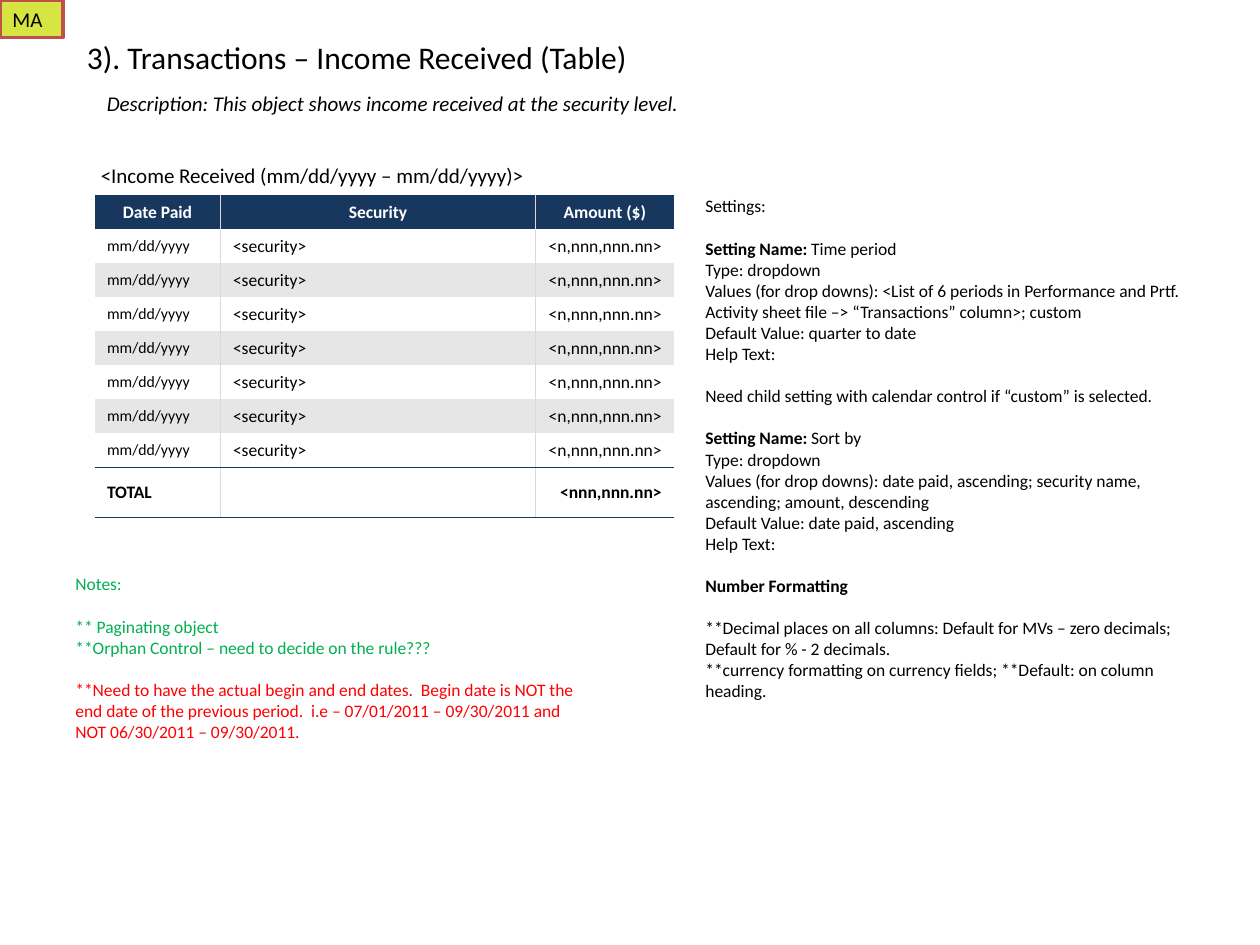
from dataclasses import dataclass

from lxml import etree
from pptx import Presentation, util as u
from pptx.dml.color import RGBColor
from pptx.enum import shapes, text
from pptx.oxml.ns import qn

PX = 9144  # EMU per px, 100 px to the inch


@dataclass(frozen=True)
class Theme:
    font: str = "Calibri"
    ink: str = "000000"
    white: str = "FFFFFF"
    navy: str = "17375E"
    band: str = "E6E6E6"
    grid: str = "D9D9D9"
    open_note: str = "00B050"
    urgent_note: str = "FF0000"
    tag_fill: str = "D6E542"
    tag_line: str = "C0504D"
    title: int = 18
    heading: int = 12
    body: int = 10
    date: int = 9
    block_gap: float = 12.2
    rule: float = 0.23


theme = Theme()
LEFT, CENTER, RIGHT = text.PP_ALIGN.LEFT, text.PP_ALIGN.CENTER, text.PP_ALIGN.RIGHT
NO_STYLE = "{2D5ABB26-0587-4C30-8999-92F81FD0307C}"


def add_run(paragraph, words, size=theme.body, color=theme.ink, bold=False, italic=False):
    run = paragraph.add_run()
    run.text = words
    run.font.name = theme.font
    run.font.size = u.Pt(size)
    run.font.bold = bold
    run.font.italic = italic
    run.font.color.rgb = RGBColor.from_string(color)


def add_blocks(frame, blocks):
    """Write (color, lines) blocks with a gap between them; a line is a list of (words, bold)."""
    paragraph = frame.paragraphs[0]
    for block_index, (color, lines) in enumerate(blocks):
        for line_index, line in enumerate(lines):
            if block_index or line_index:
                paragraph = frame.add_paragraph()
            paragraph.alignment = LEFT
            if block_index and not line_index:
                paragraph.space_before = u.Pt(theme.block_gap)
            for words, bold in line:
                add_run(paragraph, words, color=color, bold=bold)


presentation = Presentation()
presentation.slide_width = 1000 * PX
presentation.slide_height = 750 * PX
slide = presentation.slides.add_slide(presentation.slide_layouts[5])

# Title and description
title = slide.shapes.title
title.left, title.top, title.width, title.height = 59 * PX, 25 * PX, 453 * PX, 40 * PX
title.text_frame.word_wrap = False
title.text_frame.auto_size = text.MSO_AUTO_SIZE.SHAPE_TO_FIT_TEXT
title.text_frame.vertical_anchor = text.MSO_ANCHOR.TOP
title.text_frame.paragraphs[0].alignment = LEFT
add_run(title.text_frame.paragraphs[0], "3). Transactions – Income Received (Table)", theme.title)

description = slide.shapes.add_textbox(75 * PX, 67 * PX, 900 * PX, 30 * PX)
description.text_frame.word_wrap = True
add_run(description.text_frame.paragraphs[0],
        "Description: This object shows income received at the security level.",
        theme.heading, italic=True)

# Income table
PAYMENTS = 7
records = [("Date Paid", "Security", "Amount ($)")]
records += [("mm/dd/yyyy", "<security>", "<n,nnn,nnn.nn>")] * PAYMENTS
records += [("TOTAL", "", "<nnn,nnn.nn>")]
last_payment, total = PAYMENTS, PAYMENTS + 1

income_frame = slide.shapes.add_table(len(records) + 1, 3, 75 * PX, 125 * PX, 460 * PX, 273 * PX)
income = income_frame.table
income.first_row = income.horz_banding = False
next(income_frame.element.iter(qn("a:tableStyleId"))).text = NO_STYLE
for column, width in zip(income.columns, (100, 250, 110)):
    column.width = width * PX
for row_index, row in enumerate(income.rows):
    row.height = (27 if row_index else 30) * PX

caption = income.cell(0, 0)
caption.merge(income.cell(0, 2))
caption.margin_left = 5 * PX
caption.vertical_anchor = text.MSO_ANCHOR.BOTTOM
add_run(caption.text_frame.paragraphs[0],
        "<Income Received (mm/dd/yyyy – mm/dd/yyyy)>", theme.heading)

for record_index, record in enumerate(records):
    header = record_index == 0
    payment = 0 < record_index <= last_payment
    if header:
        fill = theme.navy
    else:
        fill = theme.band if payment and record_index % 2 == 0 else theme.white
    for column_index, words in enumerate(record):
        cell = income.cell(record_index + 1, column_index)
        cell.vertical_anchor = text.MSO_ANCHOR.MIDDLE
        cell.fill.solid()
        cell.fill.fore_color.rgb = RGBColor.from_string(fill)
        if words:
            paragraph = cell.text_frame.paragraphs[0]
            paragraph.alignment = CENTER if header else (LEFT, LEFT, RIGHT)[column_index]
            add_run(paragraph, words,
                    theme.date if payment and column_index == 0 else theme.body,
                    theme.white if header else theme.ink, bold=not payment)

        borders = {
            "a:lnL": theme.grid if column_index > 0 else None,
            "a:lnR": theme.grid if column_index < 2 else None,
            "a:lnT": theme.navy if record_index == total else None,
            "a:lnB": theme.navy if record_index >= last_payment else None,
        }
        drawn = [(side, color) for side, color in borders.items() if color]
        properties = cell._tc.get_or_add_tcPr()
        for position, (side, color) in enumerate(drawn):
            border = etree.Element(qn(side), w=str(u.Pt(theme.rule)))
            solid = etree.SubElement(border, qn("a:solidFill"))
            etree.SubElement(solid, qn("a:srgbClr"), val=color)
            properties.insert(position, border)

# Settings
settings = slide.shapes.add_shape(shapes.MSO_SHAPE.RECTANGLE,
                                  550 * PX, 150 * PX, 425 * PX, 411 * PX)
settings.shadow.inherit = False
settings.fill.solid()
settings.fill.fore_color.rgb = RGBColor.from_string(theme.white)
settings.line.fill.background()
settings.text_frame.word_wrap = True
settings.text_frame.vertical_anchor = text.MSO_ANCHOR.TOP

setting_blocks = [
    [
        [("Setting Name:", True), (f" {name}", False)],
        [("Type: dropdown", False)],
        [(f"Values (for drop downs): {values}", False)],
        [(f"Default Value: {default}", False)],
        [("Help Text:", False)],
    ]
    for name, values, default in (
        ("Time period",
         "<List of 6 periods in Performance and Prtf. Activity sheet file –> "
         "“Transactions” column>; custom",
         "quarter to date"),
        ("Sort by",
         "date paid, ascending; security name, ascending; amount, descending",
         "date paid, ascending"),
    )
]
add_blocks(settings.text_frame, [(theme.ink, lines) for lines in (
    [[("Settings:", False)]],
    setting_blocks[0],
    [[("Need child setting with calendar control if “custom” is selected.", False)]],
    setting_blocks[1],
    [[("Number Formatting", True)]],
    [[("**Decimal places on all columns: Default for MVs – zero decimals; "
       "Default for % - 2 decimals.", False)],
     [("**currency formatting on currency fields; **Default: on column heading.", False)]],
)])

# Notes
notes = slide.shapes.add_textbox(50 * PX, 450 * PX, 425 * PX, 211 * PX)
notes.text_frame.word_wrap = True
add_blocks(notes.text_frame, [
    (theme.open_note, [[("Notes:", False)]]),
    (theme.open_note, [[("** Paginating object", False)],
                       [("**Orphan Control – need to decide on the rule???", False)]]),
    (theme.urgent_note, [[(
        "**Need to have the actual begin and end dates.  Begin date is NOT the end date of "
        "the previous period.  i.e – 07/01/2011 – 09/30/2011 and NOT 06/30/2011 – 09/30/2011.",
        False)]]),
])

# Corner tag
tag = slide.shapes.add_shape(shapes.MSO_SHAPE.RECTANGLE, 0, 0, 50 * PX, 30 * PX)
tag.shadow.inherit = False
tag.fill.solid()
tag.fill.fore_color.rgb = RGBColor.from_string(theme.tag_fill)
tag.line.color.rgb = RGBColor.from_string(theme.tag_line)
tag.line.width = u.Pt(2)
tag.text_frame.vertical_anchor = text.MSO_ANCHOR.TOP
tag.text_frame.paragraphs[0].alignment = LEFT
add_run(tag.text_frame.paragraphs[0], "MA", theme.heading)

presentation.save("out.pptx")
